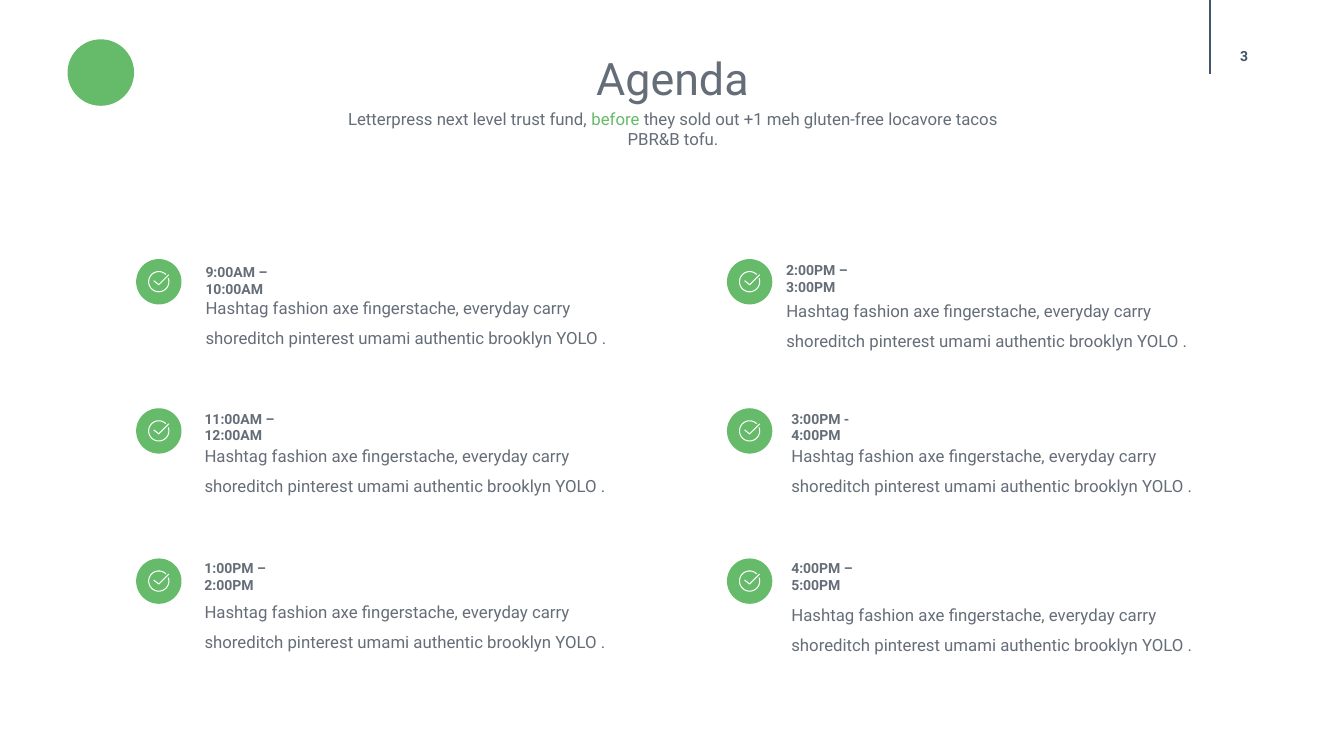
from math import cos, radians, sin

from pptx import Presentation
from pptx import util as u
from pptx.dml.color import RGBColor
from pptx.enum import shapes, text
from pptx.oxml.ns import qn
from lxml import etree

BLURB = ("Hashtag fashion axe fingerstache, everyday carry "
         "shoreditch pinterest umami authentic brooklyn YOLO .")
ICON_COLS = (1.35, 7.21)
ICON_ROWS = (2.57, 4.05, 5.54)
ICON = 0.45

# time, left, time top, time width, blurb top
SLOTS = [
    ("9:00AM – 10:00AM", 1.94, 2.57, 1.3, 2.8),
    ("11:00AM – 12:00AM", 1.93, 4.02, 1.38, 4.27),
    ("1:00PM – 2:00PM", 1.93, 5.5, 1.24, 5.82),
    ("2:00PM – 3:00PM", 7.7, 2.55, 1.24, 2.83),
    ("3:00PM - 4:00PM", 7.75, 4.02, 1.25, 4.27),
    ("4:00PM – 5:00PM", 7.75, 5.5, 1.24, 5.85),
]


def tint(code):
    return RGBColor.from_string(code)


class Page:
    font = "Roboto"
    gray, green, navy, white = "656D78", "66BB6A", "44546A", "FFFFFF"

    def __init__(self, slide):
        self.slide = slide
        self.shapes = slide.shapes
        slide.background.fill.solid()
        slide.background.fill.fore_color.rgb = tint(self.white)

    def label(self, runs, left, top, width, height, size, bold=False,
              center=False, space=None):
        """Add a one-paragraph text box; runs is a list of (text, colour)."""
        box = self.shapes.add_textbox(*map(u.Inches, (left, top, width, height)))
        frame = box.text_frame
        frame.word_wrap = True
        frame.auto_size = text.MSO_AUTO_SIZE.SHAPE_TO_FIT_TEXT
        para = frame.paragraphs[0]
        para.alignment = text.PP_ALIGN.CENTER if center else text.PP_ALIGN.LEFT
        if space:
            para.line_spacing = space
        for words, color in runs:
            run = para.add_run()
            run.text = words
            run.font.name = self.font
            run.font.size = u.Pt(size)
            run.font.bold = bold
            run.font.color.rgb = tint(color)
        return frame

    def disc(self, left, top, size):
        disc = self.shapes.add_shape(
            shapes.MSO_SHAPE.OVAL, *map(u.Inches, (left, top, size, size)))
        disc.shadow.inherit = False
        disc.fill.solid()
        disc.fill.fore_color.rgb = tint(self.green)
        disc.line.fill.background()

    def check(self, mid_x, mid_y):
        """Draw an open ring with a tick through its gap."""
        def spot(x, y):
            return u.Inches(mid_x + x), u.Inches(mid_y + y)

        ring = [spot(0.1 * cos(radians(a)), 0.1 * sin(radians(a)))
                for a in range(-20, 316, 5)]
        tick = [spot(-0.05, -0.01), spot(0, 0.03), spot(0.1, -0.07)]
        pen = self.shapes.build_freeform(*ring[0])
        pen.add_line_segments(ring[1:], close=False)
        pen.move_to(*tick[0])
        pen.add_line_segments(tick[1:], close=False)
        mark = pen.convert_to_shape()
        mark.shadow.inherit = False
        mark.fill.background()
        mark.line.color.rgb = tint(self.white)
        mark.line.width = u.Pt(0.75)

    def rule(self, x, top, end):
        line = self.shapes.add_connector(
            shapes.MSO_CONNECTOR.STRAIGHT, *map(u.Inches, (x, top, x, end)))
        line.line.color.rgb = tint(self.navy)
        line.line.width = u.Pt(1)
        etree.SubElement(line._element.spPr, qn("a:effectLst"))

    def number(self, digits):
        frame = self.label([(digits, self.navy)], 11.94, 0.36, 0.8, 0.4, 10,
                           bold=True, center=True)
        frame.auto_size = text.MSO_AUTO_SIZE.NONE
        frame.vertical_anchor = text.MSO_ANCHOR.MIDDLE
        frame.margin_left = frame.margin_right = 0
        frame.margin_top = frame.margin_bottom = 0

    def slot(self, time, left, top, width, low):
        self.label([(BLURB, self.gray)], left, low, 4.21, 0.67, 12, space=1.5)
        self.label([(time, self.gray)], left, top, width, 0.27, 10, bold=True)


def main():
    deck = Presentation()
    deck.slide_width = u.Inches(13.33)
    deck.slide_height = u.Inches(7.5)
    page = Page(deck.slides.add_slide(deck.slide_layouts[6]))

    page.disc(0.67, 0.39, 0.66)
    page.rule(12, 0, 0.73)
    page.number("3")
    page.label([("Agenda", page.gray)], 2.54, 0.45, 8.26, 0.64, 32, center=True)
    page.label([("Letterpress next level trust fund, ", page.gray),
                ("before", page.green),
                (" they sold out +1 meh gluten-free locavore tacos PBR&B tofu.",
                 page.gray)], 3.2, 1.03, 6.95, 0.3, 12, center=True)

    for slot in SLOTS:
        page.slot(*slot)
    for left in ICON_COLS:
        for top in ICON_ROWS:
            page.disc(left, top, ICON)
            page.check(left + ICON / 2, top + ICON / 2)

    deck.save("out.pptx")


if __name__ == "__main__":
    main()
